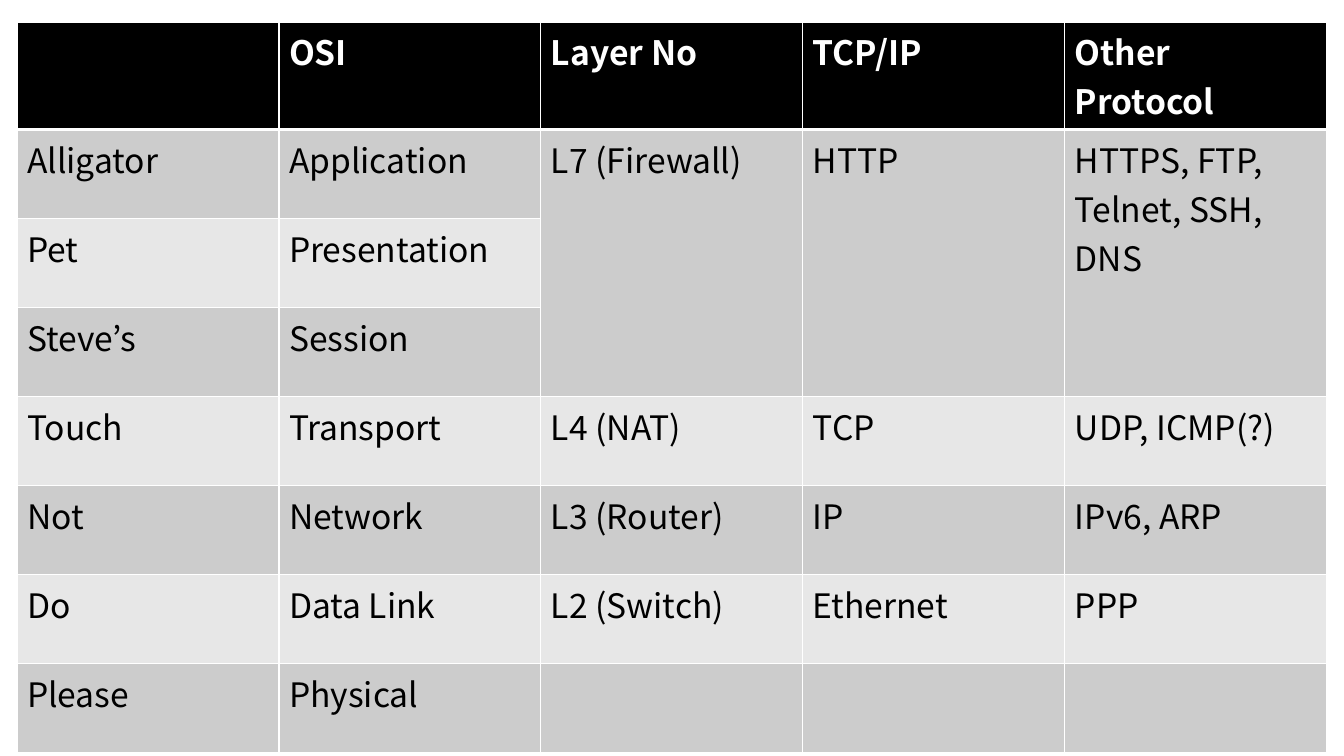
from dataclasses import dataclass

from lxml.etree import SubElement
from pptx import Presentation
from pptx.dml.color import RGBColor
from pptx.oxml.ns import qn
from pptx.table import Table, _Cell
from pptx.util import Emu, Pt


@dataclass(frozen=True)
class Theme:
    font: str = "Noto Sans CJK KR"
    text_size: int = 24
    header_fill: str = "000000"
    header_text: str = "FFFFFF"
    body_text: str = "000000"
    bands: tuple[str, str] = ("CCCCCC", "E7E7E7")
    rule: str = "FFFFFF"
    thin_rule: int = 1
    header_rule: int = 3


@dataclass(frozen=True)
class Layer:
    mnemonic: str
    osi: str
    number: str = ""
    tcp_ip: str = ""
    other: str = ""

    def texts(self) -> tuple[str, ...]:
        return self.mnemonic, self.osi, self.number, self.tcp_ip, self.other


THEME = Theme()
SLIDE_WIDTH, SLIDE_HEIGHT = 1344, 756
LEFT, TOP = 17, 22
COLUMN_WIDTH, ROW_HEIGHT = 262, 89

HEADINGS = Layer("", "OSI", "Layer No", "TCP/IP", "Other Protocol")
LAYERS = [
    Layer("Alligator", "Application", "L7 (Firewall)", "HTTP",
          "HTTPS, FTP, Telnet, SSH, DNS"),
    Layer("Pet", "Presentation"),
    Layer("Steve’s", "Session"),
    Layer("Touch", "Transport", "L4 (NAT)", "TCP", "UDP, ICMP(?)"),
    Layer("Not", "Network", "L3 (Router)", "IP", "IPv6, ARP"),
    Layer("Do", "Data Link", "L2 (Switch)", "Ethernet", "PPP"),
    Layer("Please", "Physical"),
]
# The top three OSI layers share one cell in each of these columns
SHARED_COLUMNS = range(2, 5)
SHARED_FIRST, SHARED_LAST = 1, 3


def px(length: int) -> Emu:
    return Emu(round(length * 914400 / 100.8))


def write(cell: _Cell, text: str, *, color: str, bold: bool = False) -> None:
    paragraph = cell.text_frame.paragraphs[0]
    paragraph.font.size = Pt(THEME.text_size)
    if not text:
        return
    run = paragraph.add_run()
    run.text = text
    run.font.name = THEME.font
    run.font.size = Pt(THEME.text_size)
    run.font.bold = bold
    run.font.color.rgb = RGBColor.from_string(color)


def paint(cell: _Cell, fill: str, *, top: int, bottom: int) -> None:
    cell.fill.solid()
    cell.fill.fore_color.rgb = RGBColor.from_string(fill)
    properties = cell._tc.get_or_add_tcPr()
    widths = {"a:lnL": THEME.thin_rule, "a:lnR": THEME.thin_rule,
              "a:lnT": top, "a:lnB": bottom}
    for position, (side, width) in enumerate(widths.items()):
        line = SubElement(properties, qn(side), w=str(Pt(width)))
        solid = SubElement(line, qn("a:solidFill"))
        SubElement(solid, qn("a:srgbClr"), val=THEME.rule)
        properties.insert(position, line)


def fill_row(table: Table, row: int, layer: Layer) -> None:
    header = row == 0
    fill = THEME.header_fill if header else THEME.bands[(row - 1) % 2]
    color = THEME.header_text if header else THEME.body_text
    top = THEME.header_rule if row == 1 else THEME.thin_rule
    bottom = THEME.header_rule if header else THEME.thin_rule
    for column, text in enumerate(layer.texts()):
        cell = table.cell(row, column)
        paint(cell, fill, top=top, bottom=bottom)
        write(cell, text, color=color, bold=header)


def main() -> None:
    presentation = Presentation()
    presentation.slide_width = px(SLIDE_WIDTH)
    presentation.slide_height = px(SLIDE_HEIGHT)
    slide = presentation.slides.add_slide(presentation.slide_layouts[6])

    # Layer table
    rows = [HEADINGS, *LAYERS]
    column_count = len(HEADINGS.texts())
    layer_table = slide.shapes.add_table(
        len(rows), column_count, px(LEFT), px(TOP),
        px(COLUMN_WIDTH * column_count), px(ROW_HEIGHT * len(rows))).table
    for column in layer_table.columns:
        column.width = px(COLUMN_WIDTH)
    for index, layer in enumerate(rows):
        layer_table.rows[index].height = px(ROW_HEIGHT)
        fill_row(layer_table, index, layer)

    # Shared cells
    for column in SHARED_COLUMNS:
        first = layer_table.cell(SHARED_FIRST, column)
        first.merge(layer_table.cell(SHARED_LAST, column))

    presentation.save("out.pptx")


if __name__ == "__main__":
    main()
